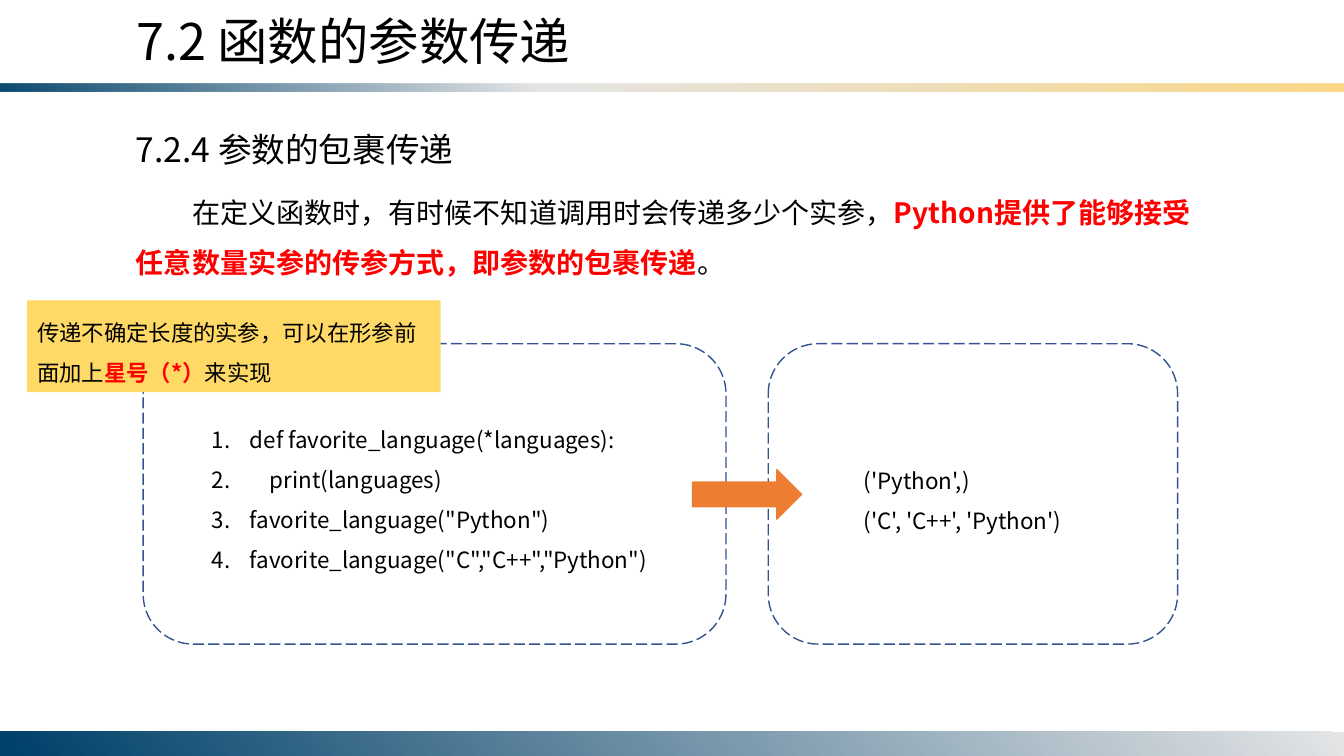
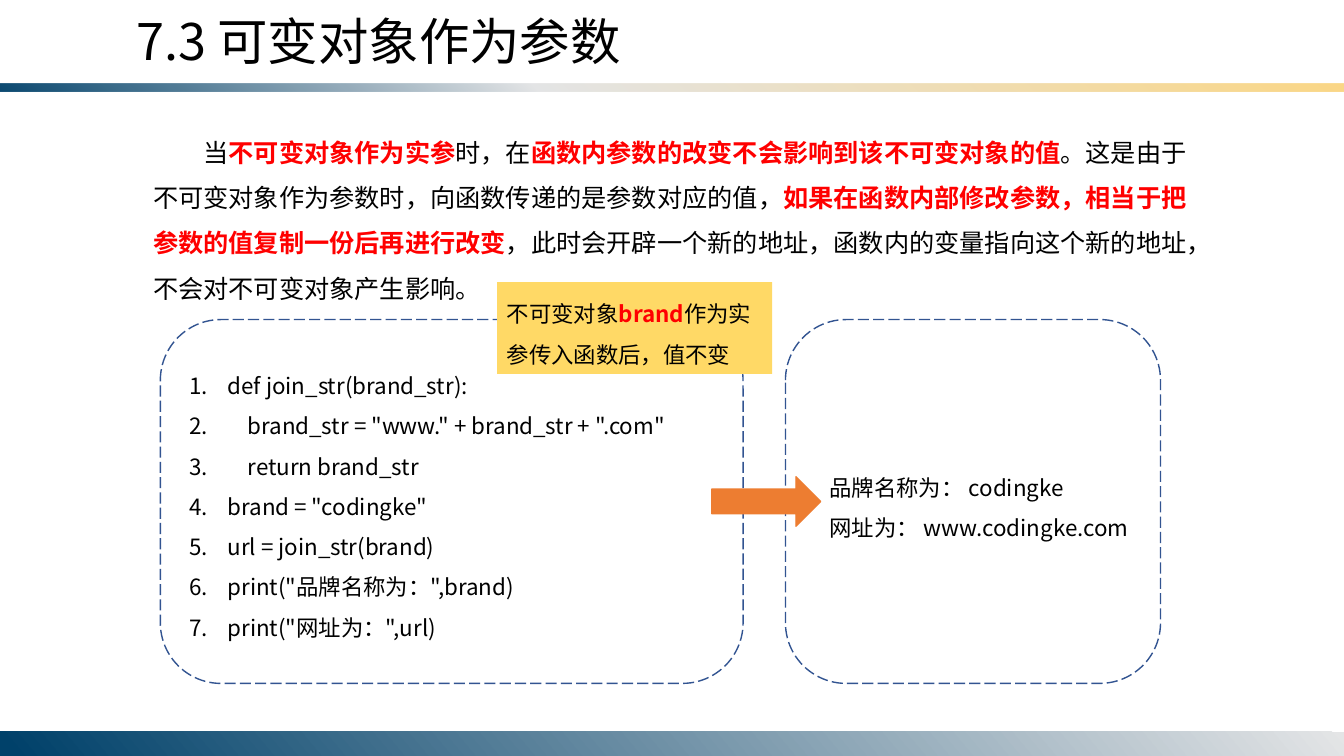
from dataclasses import dataclass
from typing import NamedTuple

from lxml import etree
from pptx import Presentation
from pptx.dml.color import RGBColor
from pptx.enum.dml import MSO_LINE
from pptx.enum.shapes import MSO_SHAPE as Kind
from pptx.enum.text import MSO_ANCHOR, MSO_AUTO_SIZE, PP_ALIGN
from pptx.oxml import parse_xml
from pptx.oxml.ns import nsdecls, qn
from pptx.presentation import Presentation as Deck
from pptx.shapes.autoshape import Shape
from pptx.slide import Slide, SlideLayout
from pptx.text.text import TextFrame
from pptx.util import Inches, Pt


@dataclass(frozen=True)
class Theme:
    font: str = "Noto Sans CJK SC"
    ink: str = "000000"
    key: str = "FF0000"
    frame: str = "325491"
    arrow: str = "ED7D31"
    note: str = "FFD966"
    navy: str = "00416A"
    mist: str = "E4E5E6"
    gold: str = "FBD786"
    title: int = 36
    head: int = 24
    lead: int = 20
    body: int = 18
    code: int = 16


THEME = Theme()


class Box(NamedTuple):
    left: float
    top: float
    width: float
    height: float


class Stop(NamedTuple):
    place: int
    color: str
    alpha: int = 100


class Band(NamedTuple):
    box: Box
    angle: int
    stops: list[Stop]
    flip: bool = False


@dataclass(frozen=True)
class Text:
    """Lines of text; the parts between bars are key words."""
    box: Box
    lines: list[str]
    size: int = THEME.code
    space: float = 1.5
    indent: float = 0
    count: bool = False
    fill: str = ""


@dataclass(frozen=True)
class Page:
    title: str
    frames: list[Box]
    arrow: Box
    texts: list[Text]


TITLE = Box(1.25, 0.05, 6.12, 0.71)
BANDS = [
    Band(Box(0, 0.83, 13.33, 0.08), 50,
         [Stop(0, THEME.navy, 95), Stop(40, THEME.mist), Stop(100, THEME.gold)], True),
    Band(Box(0, 7.26, 13.33, 0.24), 140,
         [Stop(0, THEME.mist), Stop(99, THEME.navy)]),
]

PAGES = [
    Page(
        "7.2 函数的参数传递",
        [Box(1.42, 3.41, 5.78, 2.98), Box(7.62, 3.41, 4.06, 2.98)],
        Box(6.87, 4.66, 1.08, 0.49),
        [
            Text(Box(1.25, 1.23, 3.51, 0.5), ["7.2.4 参数的包裹传递"], THEME.head, 1),
            Text(Box(1.25, 1.72, 10.68, 1.11), [
                "在定义函数时，有时候不知道调用时会传递多少个实参，"
                "|Python提供了能够接受任意数量实参的传参方式，即参数的包裹传递|。",
            ], THEME.lead, indent=0.56),
            Text(Box(2, 4.04, 4.88, 1.72), [
                "def favorite_language(*languages):",
                "    print(languages)",
                'favorite_language("Python")',
                'favorite_language("C","C++","Python")',
            ], count=True),
            Text(Box(8.47, 4.45, 2.36, 0.91), ["('Python',)", "('C', 'C++', 'Python')"]),
            Text(Box(0.27, 2.98, 4.1, 0.91),
                 ["传递不确定长度的实参，可以在形参前面加上|星号（*）|来实现"], fill=THEME.note),
        ],
    ),
    Page(
        "7.3 可变对象作为参数",
        [Box(1.59, 3.17, 5.78, 3.61), Box(7.79, 3.17, 3.72, 3.61)],
        Box(7.06, 4.73, 1.08, 0.49),
        [
            Text(Box(1.42, 1.16, 10.5, 1.92), [
                "当|不可变对象作为实参|时，在|函数内参数的改变不会影响到该不可变对象的值|。"
                "这是由于不可变对象作为参数时，向函数传递的是参数对应的值，"
                "|如果在函数内部修改参数，相当于把参数的值复制一份后再进行改变|，"
                "此时会开辟一个新的地址，函数内的变量指向这个新的地址，不会对不可变对象产生影响。",
            ], THEME.body, indent=0.5),
            Text(Box(1.78, 3.51, 5.4, 2.93), [
                "def join_str(brand_str):",
                '    brand_str = "www." + brand_str + ".com"',
                "    return brand_str",
                'brand = "codingke"',
                "url = join_str(brand)",
                'print("品牌名称为：",brand)',
                'print("网址为：",url)',
            ], count=True),
            Text(Box(8.13, 4.52, 3.24, 0.91),
                 ["品牌名称为： codingke", "网址为： www.codingke.com"]),
            Text(Box(4.93, 2.8, 2.73, 0.91),
                 ["不可变对象|brand|作为实参传入函数后，值不变"], fill=THEME.note),
        ],
    ),
]


def rgb(color: str) -> RGBColor:
    return RGBColor.from_string(color)


def inches(box: Box) -> list[Inches]:
    return [Inches(side) for side in box]


def write(frame: TextFrame, text: Text) -> None:
    frame.word_wrap = True
    frame.auto_size = MSO_AUTO_SIZE.NONE
    frame.vertical_anchor = MSO_ANCHOR.TOP
    for row, line in enumerate(text.lines):
        para = frame.add_paragraph() if row else frame.paragraphs[0]
        para.alignment = PP_ALIGN.LEFT
        para.line_spacing = text.space
        props = para._p.get_or_add_pPr()
        if text.count:
            props.set("marL", str(Inches(0.38)))
            props.set("indent", str(-Inches(0.38)))
            etree.SubElement(props, qn("a:buFont"), typeface="+mj-lt")
            etree.SubElement(props, qn("a:buAutoNum"), type="arabicPeriod")
        elif text.indent:
            props.set("indent", str(Inches(text.indent)))
        for part, words in enumerate(line.split("|")):
            run = para.add_run()
            run.text = words
            font = run.font
            font.size = Pt(text.size)
            font.bold = part % 2 == 1
            font.color.rgb = rgb(THEME.key if font.bold else THEME.ink)
            font.name = THEME.font
            etree.SubElement(run._r.get_or_add_rPr(), qn("a:ea"), typeface=THEME.font)


def add_text(slide: Slide, text: Text) -> None:
    area = slide.shapes.add_textbox(*inches(text.box))
    if text.fill:
        area.fill.solid()
        area.fill.fore_color.rgb = rgb(text.fill)
    write(area.text_frame, text)


def add_shape(slide: Slide, kind: Kind, box: Box, line: str = "") -> Shape:
    """Add an unfilled shape, outlined only if a line colour is given."""
    shape = slide.shapes.add_shape(kind, *inches(box))
    shape.shadow.inherit = False
    shape.fill.background()
    if line:
        shape.line.color.rgb = rgb(line)
        shape.line.width = Pt(1)
    else:
        shape.line.fill.background()
    return shape


def add_band(slide: Slide, layout: SlideLayout, band: Band) -> None:
    """Draw a gradient band and move it to the layout."""
    shape = add_shape(slide, Kind.RECTANGLE, band.box)
    stops = "".join(
        f'<a:gs pos="{stop.place * 1000}"><a:srgbClr val="{stop.color}">'
        f'<a:alpha val="{stop.alpha * 1000}"/></a:srgbClr></a:gs>'
        for stop in band.stops
    )
    fill = parse_xml(
        f'<a:gradFill {nsdecls("a")} rotWithShape="1"><a:gsLst>{stops}</a:gsLst>'
        f'<a:lin ang="{band.angle * 60000}" scaled="0"/></a:gradFill>'
    )
    props = shape.element.spPr
    props.replace(props.find(qn("a:noFill")), fill)
    if band.flip:
        props.find(qn("a:xfrm")).set("flipV", "1")
    layout.shapes.element.append(shape.element)


def add_page(deck: Deck, layout: SlideLayout, page: Page) -> Slide:
    slide = deck.slides.add_slide(layout)
    title = slide.shapes.title
    title.left, title.top, title.width, title.height = inches(TITLE)
    write(title.text_frame, Text(TITLE, [page.title], THEME.title, 1))
    for box in page.frames:
        frame = add_shape(slide, Kind.ROUNDED_RECTANGLE, box, THEME.frame)
        frame.line.dash_style = MSO_LINE.LONG_DASH
    arrow = add_shape(slide, Kind.RIGHT_ARROW, page.arrow, THEME.arrow)
    arrow.fill.solid()
    arrow.fill.fore_color.rgb = rgb(THEME.arrow)
    for text in page.texts:
        add_text(slide, text)
    return slide


def main() -> None:
    deck = Presentation()
    deck.slide_width, deck.slide_height = Inches(13.33), Inches(7.5)
    layout = deck.slide_layouts.get_by_name("Title Only")
    slides = [add_page(deck, layout, page) for page in PAGES]
    for band in BANDS:
        add_band(slides[0], layout, band)
    deck.save("out.pptx")


if __name__ == "__main__":
    main()
